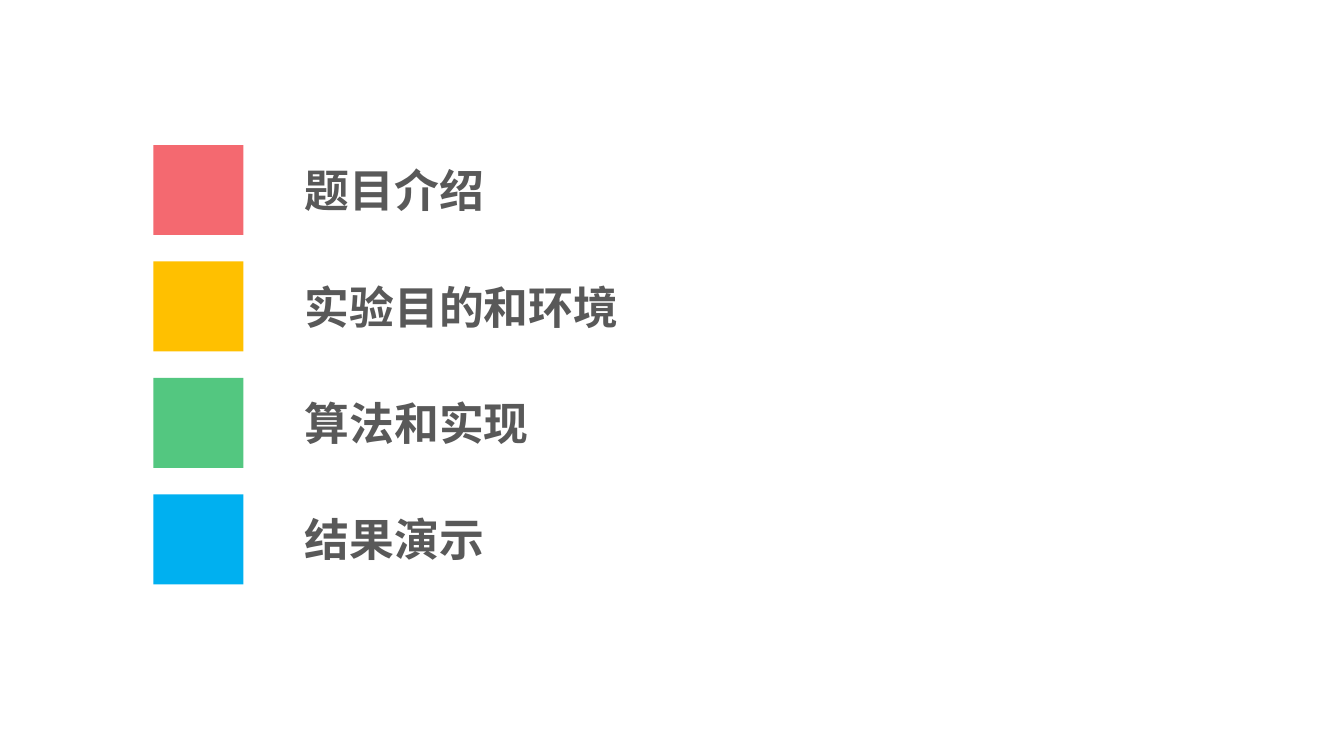
from dataclasses import dataclass

from lxml import etree
from pptx import Presentation
from pptx.dml.color import RGBColor
from pptx.enum import shapes, text
from pptx.oxml.ns import qn
from pptx.util import Cm, Pt


@dataclass(frozen=True)
class Theme:
    font: str = "Noto Sans CJK SC"
    size: int = 24
    ink: str = "595959"
    red: str = "F46970"
    yellow: str = "FFC000"
    green: str = "53C780"
    blue: str = "00B0F0"


THEME = Theme()
AGENDA = [
    ("题目介绍", THEME.red, 4.39),
    ("实验目的和环境", THEME.yellow, 7.01),
    ("算法和实现", THEME.green, 5.59),
    ("结果演示", THEME.blue, 4.39),
]
MARKER_LEFT, LABEL_LEFT, TOP = 2.9, 5.51, 2.74
MARKER_SIZE, LABEL_HEIGHT, PITCH = 1.7, 1.28, 2.2


def add_marker(s, top, color):
    sp = s.shapes.add_shape(
        shapes.MSO_SHAPE.RECTANGLE,
        Cm(MARKER_LEFT), Cm(top), Cm(MARKER_SIZE), Cm(MARKER_SIZE),
    )
    sp.shadow.inherit = False
    sp.fill.solid()
    sp.fill.fore_color.rgb = RGBColor.from_string(color)
    sp.line.fill.background()


def add_label(s, top, label, width):
    label_top = top + (MARKER_SIZE - LABEL_HEIGHT) / 2
    sp = s.shapes.add_textbox(
        Cm(LABEL_LEFT), Cm(label_top), Cm(width), Cm(LABEL_HEIGHT)
    )
    tf = sp.text_frame
    tf.word_wrap = True
    tf.auto_size = text.MSO_AUTO_SIZE.SHAPE_TO_FIT_TEXT
    p = tf.paragraphs[0]
    r = p.add_run()
    r.text = label
    p.font.size = Pt(THEME.size)
    p.font.bold = True
    p.font.color.rgb = RGBColor.from_string(THEME.ink)
    p.font.name = THEME.font
    props = p._p.pPr.find(qn("a:defRPr"))
    etree.SubElement(props, qn("a:ea"), typeface=THEME.font)


def main():
    prs = Presentation()
    prs.slide_width, prs.slide_height = Cm(25.4), Cm(14.28)
    s = prs.slides.add_slide(prs.slide_layouts[6])
    for i, (label, color, width) in enumerate(AGENDA):
        top = TOP + i * PITCH
        add_marker(s, top, color)
        add_label(s, top, label, width)
    prs.save("out.pptx")


if __name__ == "__main__":
    main()
